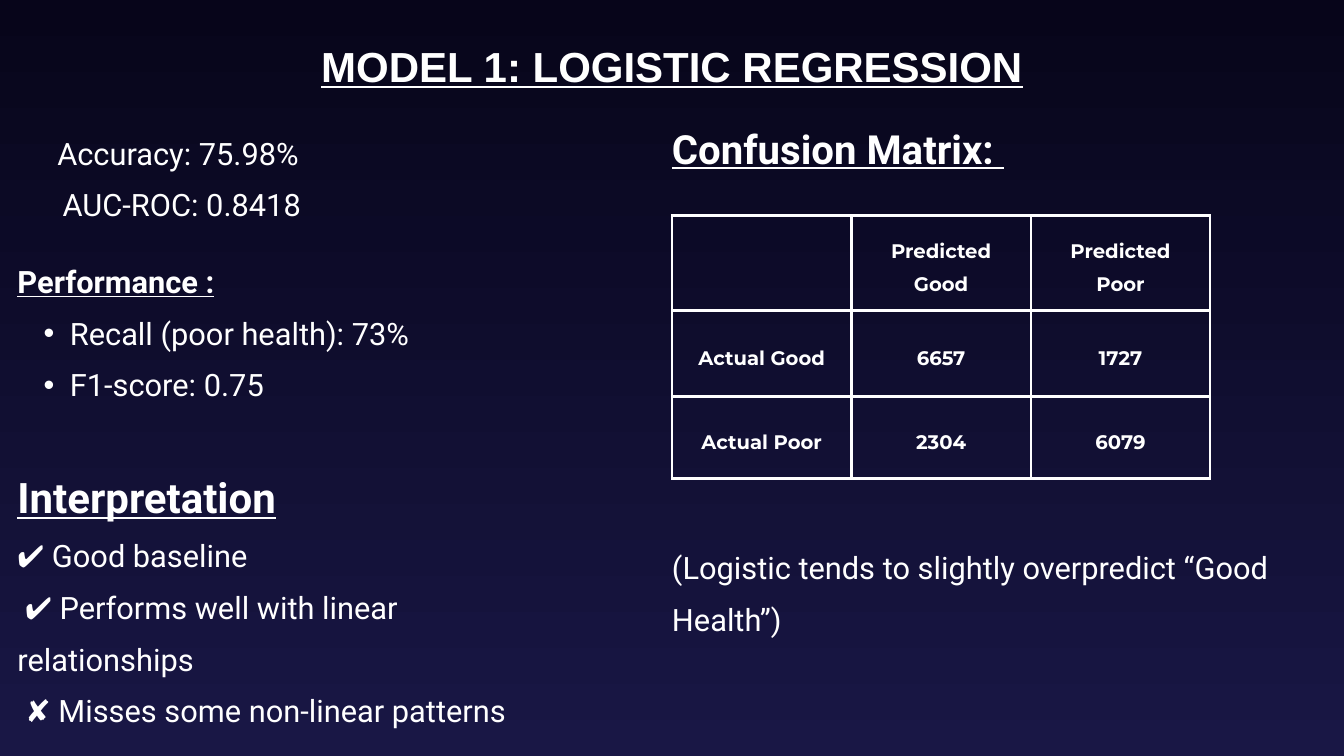
from lxml import etree
from pptx import Presentation
from pptx.dml.color import RGBColor
from pptx.enum import text as t
from pptx.oxml import ns
from pptx.util import Inches, Pt

HUES = {"top": "07051A", "base": "191745", "ink": "FFFFFF"}
LEFT, MID = t.PP_ALIGN.LEFT, t.PP_ALIGN.CENTER

# Text styles
HEAD = {"name": "Arial", "size": Pt(45), "bold": True, "underline": True}
PLAIN = {"name": "Roboto", "size": Pt(33), "bold": False, "underline": False}
SUB = {**PLAIN, "bold": True, "underline": True}
BIG = {**SUB, "size": Pt(45)}
GRID = {"name": "Montserrat", "size": Pt(21), "bold": True}

# Content: (text, style, bulleted)
TITLE = [("MODEL 1: LOGISTIC REGRESSION", HEAD, False)]
SCORES = [("Accuracy: 75.98%", PLAIN, False), (" AUC-ROC: 0.8418", PLAIN, False)]
PERF = [
    ("Performance :", SUB, False),
    ("Recall (poor health): 73%", PLAIN, True),
    ("F1-score: 0.75", PLAIN, True),
]
VIEW = [
    ("Interpretation", BIG, False),
    ("✔ Good baseline", PLAIN, False),
    (" ✔ Performs well with linear relationships", PLAIN, False),
    (" ✘ Misses some non-linear patterns", PLAIN, False),
]
MATRIX = [("Confusion Matrix: ", {**SUB, "size": Pt(43)}, False)]
NOTE = [("(Logistic tends to slightly overpredict “Good Health”)", PLAIN, False)]
ROWS = [
    ("", "Predicted Good", "Predicted Poor"),
    ("Actual Good", "6657", "1727"),
    ("Actual Poor", "2304", "6079"),
]
HIGH = [1.35, 1.28, 1.22]
WIDE = 2.67


def tint(name):
    return RGBColor.from_string(HUES[name])


def node(up, tag, **vals):
    kid = etree.SubElement(up, ns.qn(tag))
    for key, val in vals.items():
        kid.set(key, str(val))
    return kid


def write(para, words, style, align, lead=1.4):
    para.alignment, para.line_spacing = align, lead
    para.space_before = para.space_after = Pt(0)
    run = para.add_run()
    run.text = words
    for key, val in style.items():
        setattr(run.font, key, val)
    run.font.color.rgb = tint("ink")


def mark(para, dot):
    props = para._p.get_or_add_pPr()
    props.set("marL", str(Inches(0.78) if dot else 0))
    props.set("indent", str(Inches(-0.39) if dot else 0))
    if dot:
        node(node(props, "a:buClr"), "a:srgbClr", val=HUES["ink"])
        node(props, "a:buFont", typeface="Arial")
        node(props, "a:buChar", char="•")
    else:
        node(props, "a:buNone")


def fill(box, place, items, align=LEFT, lead=1.4):
    box.left, box.top, box.width, box.height = map(Inches, place)
    frame = box.text_frame
    form = {
        "margin_left": 0, "margin_right": 0, "margin_top": 0, "margin_bottom": 0,
        "word_wrap": True, "auto_size": t.MSO_AUTO_SIZE.NONE,
        "vertical_anchor": t.MSO_ANCHOR.TOP,
    }
    for key, val in form.items():
        setattr(frame, key, val)
    for i, (words, style, dot) in enumerate(items):
        para = frame.add_paragraph() if i else frame.paragraphs[0]
        write(para, words, style, align, lead)
        mark(para, dot)


def edge(cell):
    props = cell._tc.get_or_add_tcPr()
    for i, side in enumerate("LRTB"):
        line = node(props, f"a:ln{side}", w=Pt(3))
        node(node(line, "a:solidFill"), "a:srgbClr", val=HUES["ink"])
        props.insert(i, line)


def grid(slide):
    size = len(ROWS[0])
    table = slide.shapes.add_table(
        len(ROWS), size, Inches(10), Inches(3.21),
        Inches(WIDE * size), Inches(sum(HIGH))).table
    table.first_row = table.horz_banding = False
    for col in table.columns:
        col.width = Inches(WIDE)
    for r, row in enumerate(ROWS):
        table.rows[r].height = Inches(HIGH[r])
        for c, words in enumerate(row):
            cell = table.cell(r, c)
            cell.fill.background()
            cell.vertical_anchor = t.MSO_ANCHOR.MIDDLE
            for side in ("left", "right", "top", "bottom"):
                setattr(cell, f"margin_{side}", Inches(0.21))
            if words:
                write(cell.text_frame.paragraphs[0], words, GRID, MID)
            edge(cell)


def main():
    deck = Presentation()
    deck.slide_width, deck.slide_height = Inches(20), Inches(11.25)
    slide = deck.slides.add_slide(deck.slide_layouts[3])

    # Background fades downward
    back = slide.background.fill
    back.gradient()
    back.gradient_angle = 270
    for stop, name in zip(back.gradient_stops, ("top", "base")):
        stop.color.rgb = tint(name)

    # Title and the two lists
    title, perf, view = slide.placeholders
    fill(title, (4.37, 0.18, 11.26, 0.9), TITLE, MID, 1.56)
    fill(perf, (0.26, 3.69, 6.95, 1.95), PERF)
    fill(view, (0.26, 6.72, 7.45, 2.82), VIEW)

    # Scores, matrix heading and note
    for place, items, align in (
        ((0, 1.78, 5.3, 1.25), SCORES, MID),
        ((10, 1.56, 9.56, 1), MATRIX, LEFT),
        ((10, 7.95, 9.56, 1.5), NOTE, LEFT),
    ):
        fill(slide.shapes.add_textbox(0, 0, 0, 0), place, items, align)

    grid(slide)
    deck.save("out.pptx")


if __name__ == "__main__":
    main()
